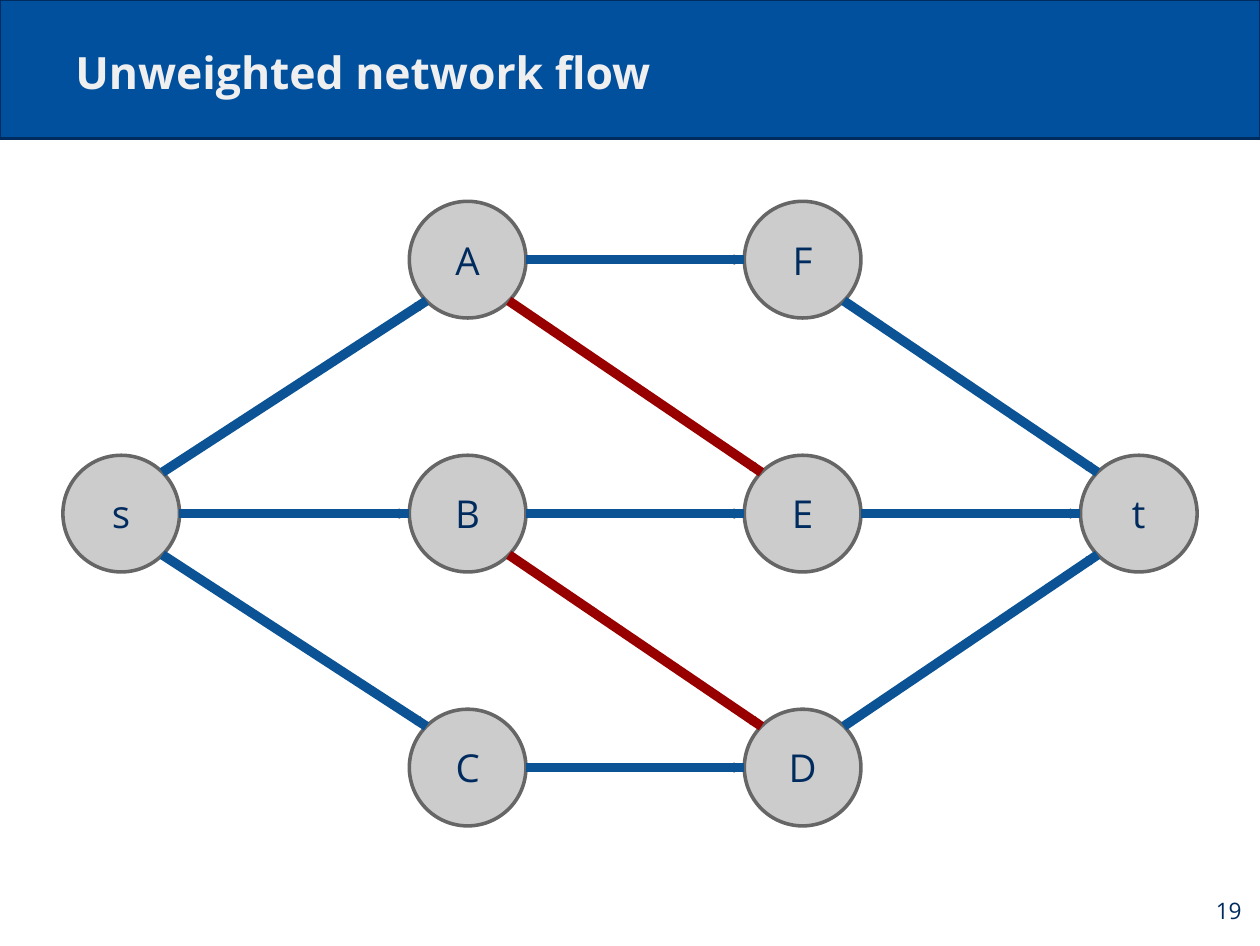
import math

import pptx
import pptx.dml.color
import pptx.enum.shapes
import pptx.enum.text
import pptx.oxml
import pptx.oxml.ns
import pptx.util

Inches = pptx.util.Inches
Pt = pptx.util.Pt
ALIGN = pptx.enum.text.PP_ALIGN
ANCHOR = pptx.enum.text.MSO_ANCHOR
SHAPE = pptx.enum.shapes.MSO_SHAPE

COLORS = {
    "header": "01509E",
    "navy": "002B5E",
    "title": "EFEFEF",
    "node": "CCCCCC",
    "outline": "666666",
    "flow": "0B5394",
    "unused": "980000",
}

DIAMETER = 1.02
COLUMNS = [1.06, 4.09, 7.02, 9.96]
ROWS = [2.27, 4.49, 6.71]

# Node name: (column, row)
NODES = {
    "s": (0, 1), "A": (1, 0), "B": (1, 1), "C": (1, 2),
    "F": (2, 0), "E": (2, 1), "D": (2, 2), "t": (3, 1),
}
EDGES = {
    "flow": ["sA", "sB", "sC", "AF", "BE", "CD", "Ft", "Et", "Dt"],
    "unused": ["AE", "BD"],
}


def write(shape, text, size, color, align, anchor, bold=False):
    frame = shape.text_frame
    frame.word_wrap = True
    frame.vertical_anchor = anchor
    frame.margin_left = frame.margin_right = Inches(0.11)
    frame.margin_top = frame.margin_bottom = Inches(0.11)
    frame.text = text
    para = frame.paragraphs[0]
    para.alignment = align
    para.font.name = "Open Sans"
    para.font.size = Pt(size)
    para.font.bold = bold
    para.font.color.rgb = pptx.dml.color.RGBColor.from_string(COLORS[color])


def style(shape, line, width, fill=None):
    shape.line.color.rgb = pptx.dml.color.RGBColor.from_string(COLORS[line])
    shape.line.width = Pt(width)
    if fill:
        shape.shadow.inherit = False
        shape.fill.solid()
        shape.fill.fore_color.rgb = pptx.dml.color.RGBColor.from_string(COLORS[fill])


deck = pptx.Presentation()
deck.slide_width = Inches(11.02)
deck.slide_height = Inches(8.27)
page = deck.slides.add_slide(deck.slide_layouts[5])

# Header bar, behind the title
title = page.shapes.title
title.left, title.top = Inches(0.55), Inches(0.24)
title.width, title.height = Inches(9.92), Inches(0.73)
write(title, "Unweighted network flow", 28, "title", ALIGN.LEFT, ANCHOR.BOTTOM, bold=True)
header = page.shapes.add_shape(SHAPE.RECTANGLE, 0, 0, deck.slide_width, Inches(1.21))
style(header, "navy", 1.5, "header")
title.element.addprevious(header.element)

# Nodes
for name, (column, row) in NODES.items():
    node = page.shapes.add_shape(
        SHAPE.OVAL,
        Inches(COLUMNS[column] - DIAMETER / 2), Inches(ROWS[row] - DIAMETER / 2),
        Inches(DIAMETER), Inches(DIAMETER))
    style(node, "outline", 2.25, "node")
    write(node, name, 24.2, "navy", ALIGN.CENTER, ANCHOR.MIDDLE)

# Edges: a thin arrow under a thick line, leaving nodes at 0 or 45 degrees
for kind, pairs in EDGES.items():
    for start, end in pairs:
        start_column, start_row = NODES[start]
        end_column, end_row = NODES[end]
        angle = math.radians(45 * (end_row - start_row))
        reach_x = DIAMETER / 2 * math.cos(angle)
        reach_y = DIAMETER / 2 * math.sin(angle)
        for color, width in [("outline", 2.25), (kind, 6)]:
            edge = page.shapes.add_connector(
                pptx.enum.shapes.MSO_CONNECTOR.STRAIGHT,
                Inches(COLUMNS[start_column] + reach_x), Inches(ROWS[start_row] + reach_y),
                Inches(COLUMNS[end_column] - reach_x), Inches(ROWS[end_row] - reach_y))
            style(edge, color, width)
            if color == "outline":
                arrow = pptx.oxml.parse_xml(
                    f'<a:tailEnd {pptx.oxml.ns.nsdecls("a")} type="triangle"/>')
                edge.line._get_or_add_ln().append(arrow)
            edge.element.spPr.append(
                pptx.oxml.parse_xml(f'<a:effectLst {pptx.oxml.ns.nsdecls("a")}/>'))

# Page number
number = page.shapes.add_textbox(Inches(10.31), Inches(7.64), Inches(0.66), Inches(0.63))
write(number, "19", 14.3, "navy", ALIGN.RIGHT, ANCHOR.MIDDLE)

deck.save("out.pptx")
